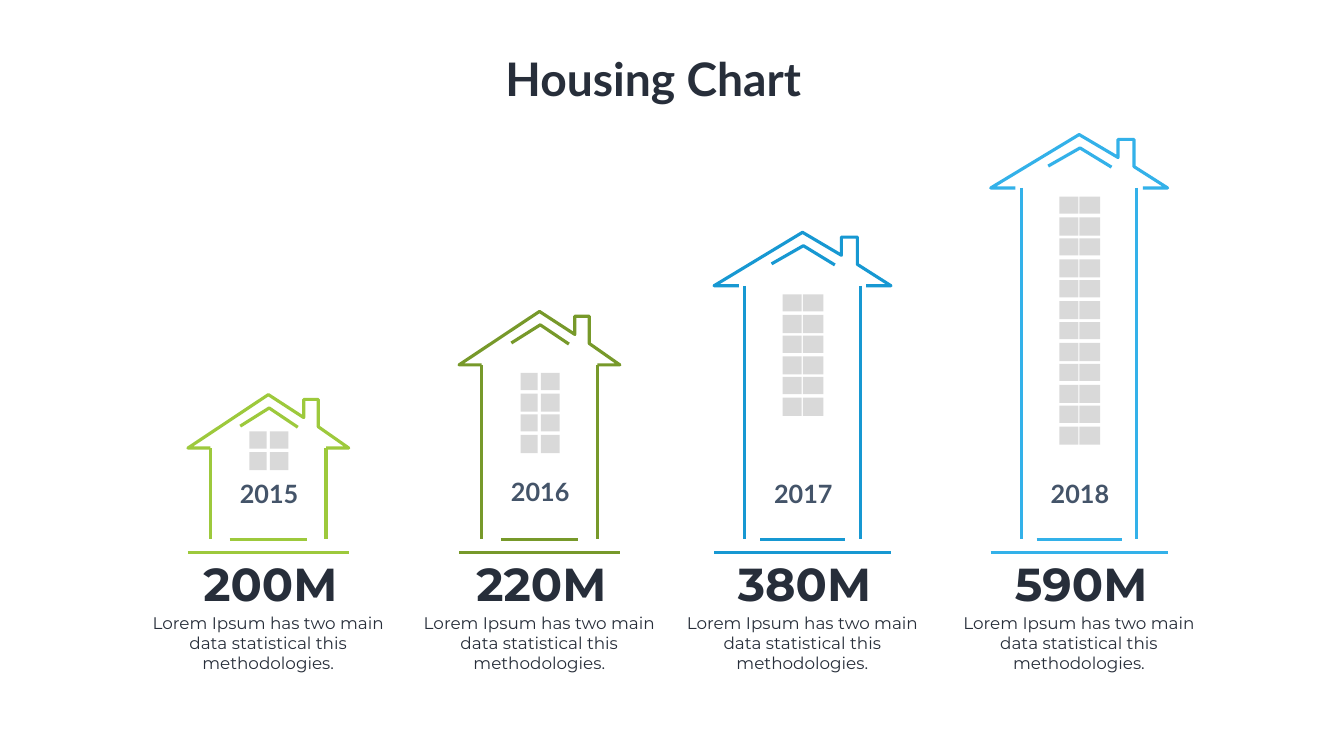
from dataclasses import dataclass

from lxml import etree
from pptx import Presentation
from pptx.dml.color import RGBColor
from pptx.enum.shapes import MSO_CONNECTOR, MSO_SHAPE
from pptx.enum.text import PP_ALIGN
from pptx.oxml.ns import qn
from pptx.util import Inches, Pt

COLUMNS, ROWS = 26.67, 15
CELL = Inches(1)
STRAIGHT = MSO_CONNECTOR.STRAIGHT
RECTANGLE = MSO_SHAPE.RECTANGLE
CENTER = PP_ALIGN.CENTER

DARK, SLATE, GLASS = "272E3A", "445469", "D9D9D9"
STROKE = 4.5
ROOF_HEIGHT = 1.06
WALL_SPAN = 2.29
FLOOR_ROW, GROUND_ROW = 10.7, 10.97
PANE_PITCH = 0.41
ROOF = [(0.86, 1), (1, 1), (0.81, 0.6), (0.81, 0.09), (0.72, 0.09),
        (0.72, 0.43), (0.5, 0), (0, 1), (0.14, 1)]
GABLE = [(0.325, 0.59), (0.505, 0.25), (0.683, 0.61)]
NARROW_PANES = [(-0.375, 0.34), (0.03, 0.37)]
WIDE_PANES = [(-0.395, 0.38), (0.005, 0.41)]
CAPTION = "Lorem Ipsum has two main data statistical this methodologies."


@dataclass
class House:
    """One year of the chart with the box of its house."""
    year: str
    amount: str
    color: str
    left: float
    top: float
    width: float
    panes: list
    floors: int
    window_top: float
    year_top: float = 9.45

    @property
    def middle(self):
        """Return the column of the house's axis."""
        return self.left + self.width / 2


HOUSES = [
    House("2015", "200M", "9DC93C", 3.73, 7.83, 3.19, NARROW_PANES, 2, 8.56),
    House("2016", "220M", "77992A", 9.11, 6.18, 3.19, NARROW_PANES, 4, 7.4, 9.4),
    House("2017", "380M", "1798D2", 14.17, 4.61, 3.51, WIDE_PANES, 6, 5.84),
    House("2018", "590M", "33B1E9", 19.66, 2.67, 3.51, WIDE_PANES, 12, 3.9),
]


def grid(value):
    """Turn grid cells into a length."""
    return round(value * CELL)


def rgb(color):
    """Turn a hex string into a colour."""
    return RGBColor.from_string(color)


def add_stroke(slide, start, end, color):
    """Draw a straight line between two grid points."""
    stroke = slide.shapes.add_connector(STRAIGHT, *map(grid, start + end))
    stroke.line.color.rgb = rgb(color)
    stroke.line.width = Pt(STROKE)
    etree.SubElement(stroke._element.spPr, qn("a:effectLst"))


def add_outline(slide, house, shares):
    """Draw an open outline from shares of the roof's box."""
    points = [(grid(house.left + x * house.width), grid(house.top + y * ROOF_HEIGHT))
              for x, y in shares]
    builder = slide.shapes.build_freeform(*points[0])
    builder.add_line_segments(points[1:], close=False)
    outline = builder.convert_to_shape()
    outline.shadow.inherit = False
    outline.fill.background()
    outline.line.color.rgb = rgb(house.color)
    outline.line.width = Pt(STROKE)


def add_label(slide, box, text, size, font, color, bold=True, wrap=False):
    """Write one centred paragraph in a box."""
    frame = slide.shapes.add_textbox(*map(grid, box)).text_frame
    frame.word_wrap = wrap
    paragraph = frame.paragraphs[0]
    paragraph.text = text
    paragraph.alignment = CENTER
    paragraph.font.size = Pt(size)
    paragraph.font.name = font
    paragraph.font.bold = bold
    paragraph.font.color.rgb = rgb(color)
    return frame


def add_title(slide):
    """Write the slide's title."""
    frame = add_label(slide, (8.47, 1, 9.21, 1.11), "Housing Chart ", 66, "Lato", DARK, wrap=True)
    frame.margin_left = frame.margin_right = frame.margin_top = frame.margin_bottom = 0


def add_windows(slide, house):
    """Place two panes on each floor."""
    pitch = PANE_PITCH if house.floors < 12 else PANE_PITCH + 0.005
    for floor in range(house.floors):
        top = house.window_top + floor * pitch
        height = 0.34 + 0.02 * (floor % 2)
        for offset, width in house.panes:
            box = house.middle + offset, top, width, height
            pane = slide.shapes.add_shape(RECTANGLE, *map(grid, box))
            pane.shadow.inherit = False
            pane.fill.solid()
            pane.fill.fore_color.rgb = rgb(GLASS)
            pane.line.fill.background()


def add_building(slide, house):
    """Draw the walls, roof, doorstep and ground of a house."""
    eaves = house.top + ROOF_HEIGHT
    for side in (-0.5, 0.5):
        wall = house.middle + side * WALL_SPAN
        add_stroke(slide, (wall, eaves), (wall, FLOOR_ROW), house.color)
    add_outline(slide, house, ROOF)
    add_outline(slide, house, GABLE)
    for row, share in ((GROUND_ROW, 1), (FLOOR_ROW, 0.48)):
        reach = share * house.width / 2
        add_stroke(slide, (house.middle - reach, row), (house.middle + reach, row), house.color)


def add_texts(slide, house):
    """Write the year, amount and caption of a house."""
    middle = house.middle
    add_label(slide, (middle - 0.67, house.year_top, 1.37, 0.71), house.year, 36, "Lato", SLATE)
    add_label(slide, (middle - 1.4, GROUND_ROW, 2.88, 1.21), house.amount, 66, "Montserrat", DARK)
    add_label(slide, (middle - 2.5, 12.1, 4.99, 1.31), CAPTION, 24, "Montserrat", DARK,
              bold=False, wrap=True)


def main():
    """Build and save the slide."""
    deck = Presentation()
    deck.slide_width, deck.slide_height = grid(COLUMNS), grid(ROWS)
    slide = deck.slides.add_slide(deck.slide_layouts[6])
    for house in HOUSES:
        add_windows(slide, house)
        add_building(slide, house)
        add_texts(slide, house)
    add_title(slide)
    deck.save("out.pptx")


if __name__ == "__main__":
    main()
